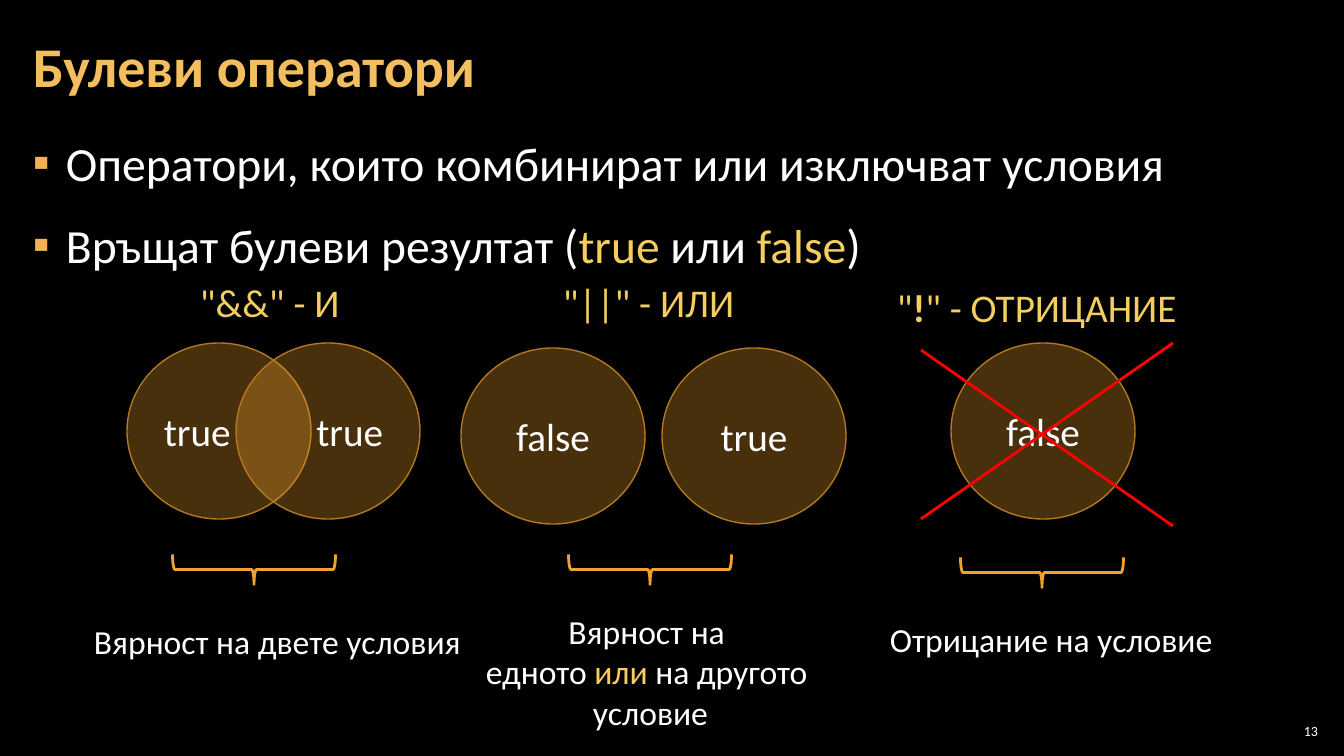
from lxml.etree import SubElement
from pptx import Presentation
from pptx.dml.color import RGBColor
from pptx.enum.shapes import MSO_CONNECTOR, MSO_SHAPE
from pptx.enum.text import MSO_ANCHOR, MSO_AUTO_SIZE, PP_ALIGN
from pptx.oxml.ns import qn
from pptx.util import Pt

PX = 914400 / 100.8
THEME = {
    "font": "Calibri",
    "background": "000000", "white": "FFFFFF", "title": "F3BE60", "bullet": "F2B254",
    "accent": "F3CD60", "orange": "F0A22E", "outline": "B27822", "cross": "FF0000",
    "title_size": 40, "body_size": 34, "label_size": 28, "caption_size": 24, "number_size": 10,
}
LEFT, CENTER, RIGHT = PP_ALIGN.LEFT, PP_ALIGN.CENTER, PP_ALIGN.RIGHT


def px(*lengths):
    return [round(length * PX) for length in lengths]


def write(frame, paragraphs, size, color="white", align=LEFT, bold=False):
    """Fill a frame from lists of (text, color, bold) runs; color and bold may be left out."""
    for index, runs in enumerate(paragraphs):
        paragraph = frame.paragraphs[0] if index == 0 else frame.add_paragraph()
        paragraph.alignment = align
        for text, *style in runs:
            run = paragraph.add_run()
            run.text = text
            run.font.name = THEME["font"]
            run.font.size = Pt(THEME[size])
            run.font.bold = style[1] if len(style) > 1 else bold
            run.font.color.rgb = RGBColor.from_string(THEME[style[0] if style else color])


presentation = Presentation()
presentation.slide_width, presentation.slide_height = px(1344, 756)
slide = presentation.slides.add_slide(presentation.slide_layouts[6])
slide.background.fill.solid()
slide.background.fill.fore_color.rgb = RGBColor.from_string(THEME["background"])
shapes = slide.shapes

# Title, bullets and page number
statements = [
    [("Оператори, които комбинират или изключват условия",)],
    [("Връщат булеви резултат (",), ("true", "accent"), (" или ",), ("false", "accent"), (")",)],
]
bullets = None
for box, side_inset, anchor, paragraphs, size, color, align, bold in [
    ((1275, 720, 47, 21), 4, MSO_ANCHOR.MIDDLE, [[("13",)]], "number_size", "white", RIGHT, False),
    ((21, 4, 1055, 122), 12, MSO_ANCHOR.MIDDLE, [[("Булеви оператори",)]], "title_size", "title", LEFT, True),
    ((21, 121, 1301, 614), 12, MSO_ANCHOR.TOP, statements, "body_size", "white", LEFT, False),
]:
    bullets = shapes.add_textbox(*px(*box)).text_frame
    bullets.word_wrap = True
    bullets.vertical_anchor = anchor
    bullets.margin_left, bullets.margin_right = px(side_inset, side_inset)
    bullets.margin_top, bullets.margin_bottom = px(4, 4)
    write(bullets, paragraphs, size, color, align, bold)

for statement in bullets.paragraphs:
    statement.line_spacing = 1.15
    statement.space_before = statement.space_after = Pt(6)
    properties = statement._p.get_or_add_pPr()
    indent, = px(33)
    properties.set("marL", str(indent))
    properties.set("indent", str(-indent))
    bullet_color = SubElement(properties, qn("a:buClr"))
    SubElement(bullet_color, qn("a:srgbClr"), val=THEME["bullet"])
    SubElement(properties, qn("a:buFont"), typeface=THEME["font"])
    SubElement(properties, qn("a:buChar"), char="▪")

# Operand circles
for left, top, value, align in [
    (127, 343, "true", LEFT),
    (236, 343, "true", RIGHT),
    (461, 348, "false", CENTER),
    (662, 348, "true", CENTER),
    (951, 343, "false", CENTER),
]:
    circle = shapes.add_shape(MSO_SHAPE.OVAL, *px(left, top, 184, 176))
    circle.shadow.inherit = False
    circle.fill.solid()
    circle.fill.fore_color.rgb = RGBColor.from_string(THEME["orange"])
    tint = circle._element.spPr.find(qn("a:solidFill"))[0]
    SubElement(tint, qn("a:alpha"), val="30000")
    circle.line.color.rgb = RGBColor.from_string(THEME["outline"])
    circle.line.width = Pt(1)
    circle.text_frame.vertical_anchor = MSO_ANCHOR.MIDDLE
    write(circle.text_frame, [[(value,)]], "label_size", align=align)

# Operator labels and captions
either_condition = [
    [("Вярност на ",)],
    [("едното ",), ("или", "accent"), (" на другото ",)],
    [("условие",)],
]
negation = [[('"',), ("!", "accent", True), ('" - ОТРИЦАНИЕ',)]]
for box, paragraphs, size, color, align in [
    ((190, 273, 162, 57), [[('"&&" - И',)]], "label_size", "accent", LEFT),
    ((553, 273, 194, 57), [[('"||" - ИЛИ',)]], "label_size", "accent", LEFT),
    ((887, 278, 312, 57), negation, "label_size", "accent", LEFT),
    ((84, 616, 390, 50), [[("Вярност на двете условия",)]], "caption_size", "white", LEFT),
    ((474, 606, 353, 132), either_condition, "caption_size", "white", CENTER),
    ((880, 614, 347, 50), [[("Отрицание на условие",)]], "caption_size", "white", LEFT),
]:
    note = shapes.add_textbox(*px(*box)).text_frame
    note.word_wrap = False
    note.auto_size = MSO_AUTO_SIZE.SHAPE_TO_FIT_TEXT
    write(note, paragraphs, size, color, align)

# Braces between circles and captions
for left, top in [(239, 488), (635, 488), (1027, 491)]:
    brace = shapes.add_shape(MSO_SHAPE.RIGHT_BRACE, *px(left, top, 30, 163))
    brace.rotation = 90
    brace.shadow.inherit = False
    brace.fill.background()
    brace.line.color.rgb = RGBColor.from_string(THEME["orange"])
    brace.line.width = Pt(2)

# Cross over the negated value
for ends in [(1173, 343, 921, 519), (1173, 526, 921, 350)]:
    stroke = shapes.add_connector(MSO_CONNECTOR.STRAIGHT, *px(*ends))
    stroke.line.color.rgb = RGBColor.from_string(THEME["cross"])
    stroke.line.width = Pt(2)
    SubElement(stroke._element.spPr, qn("a:effectLst"))

presentation.save("out.pptx")
